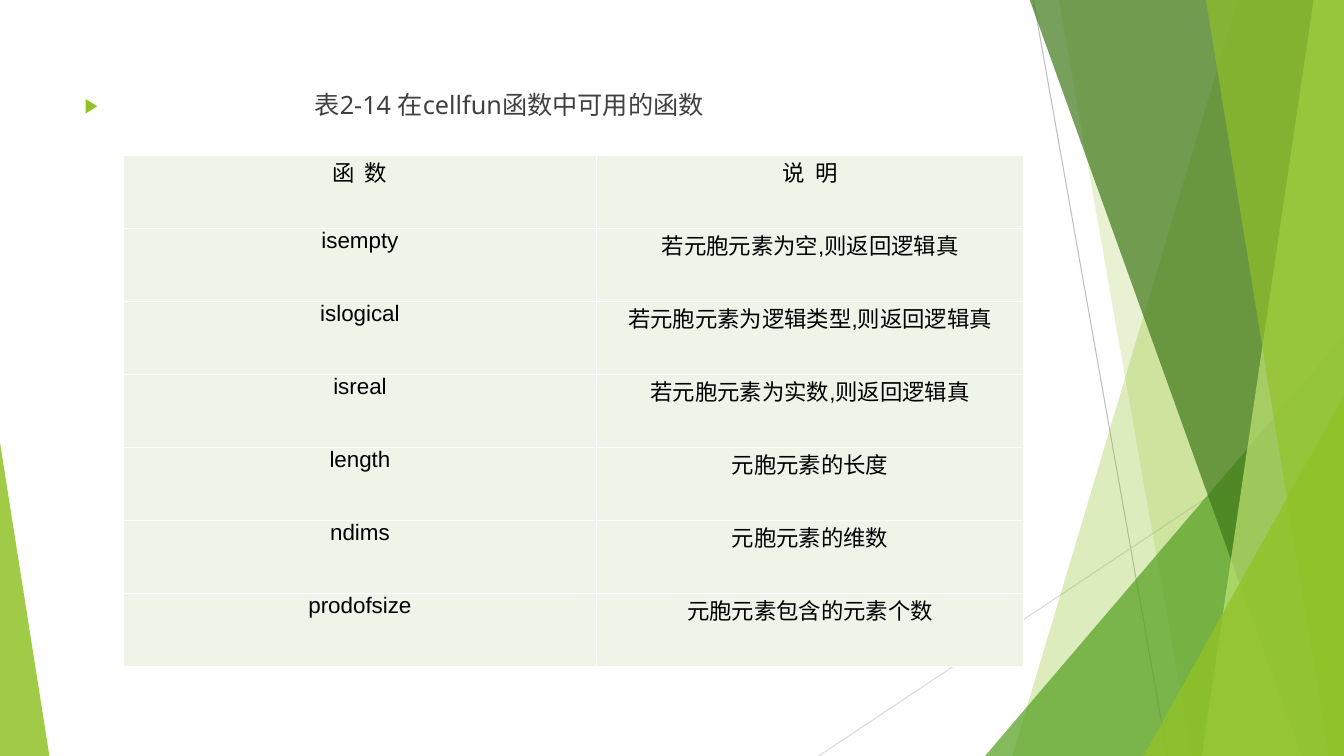
import pptx
import pptx.util
import pptx.dml.color
import pptx.enum.shapes
import pptx.enum.text
import pptx.oxml
import pptx.oxml.ns
import lxml.etree

Inches, Pt = pptx.util.Inches, pptx.util.Pt
RGB = pptx.dml.color.RGBColor.from_string
qn = pptx.oxml.ns.qn
COLORS = {"lime": "90C226", "pale": "C0E474", "green": "54A021", "dark": "3F7819",
          "line": "BFBFBF", "faint": "D9D9D9", "caption": "404040",
          "black": "000000", "white": "FFFFFF", "cell": "EEF4E8"}


def write(frame, text, size, font, color, align=None, before=0, after=0):
    paragraph = frame.paragraphs[0]
    paragraph.alignment = align
    paragraph.space_before, paragraph.space_after = Pt(before), Pt(after)
    run = paragraph.add_run()
    run.text = text
    run.font.size, run.font.name = Pt(size), font
    run.font.color.rgb = RGB(COLORS[color])
    return paragraph


def paint(facet, color, opacity):
    facet.shadow.inherit = False
    facet.line.fill.background()
    facet.fill.solid()
    facet.fill.fore_color.rgb = RGB(COLORS[color])
    shade = facet.fill._xPr.find(".//" + qn("a:srgbClr"))
    lxml.etree.SubElement(shade, qn("a:alpha")).set("val", str(opacity * 1000))


deck = pptx.Presentation()
deck.slide_width, deck.slide_height = Inches(13.33), Inches(7.5)
slide = deck.slides.add_slide(deck.slide_layouts[1])
empty_title = slide.shapes.title._element
empty_title.getparent().remove(empty_title)

# Thin lines behind the facets
for x1, y1, x2, y2, color in [(10.25, 0, 11.58, 7.5, "line"), (13.33, 4.03, 8.12, 7.5, "faint")]:
    ray = slide.shapes.add_connector(pptx.enum.shapes.MSO_CONNECTOR.STRAIGHT,
                                     Inches(x1), Inches(y1), Inches(x2), Inches(y2))
    ray.line.color.rgb = RGB(COLORS[color])
    ray.line.width = Pt(0.75)
    lxml.etree.SubElement(ray._element.spPr, qn("a:effectLst"))

# Facets, back to front: bands give top-left and bottom-left x and run to the
# right edge; wedges give left, top, width and apex, and stand on the bottom edge
facets = [("band", (12.28, 10.04), "lime", 30),
          ("band", (10.5, 11.82), "lime", 20),
          ("wedge", (9.77, 3.33, 3.56, 1), "green", 72),
          ("band", (10.21, 12.91), "dark", 70),
          ("band", (13.03, 11.92), "pale", 70),
          ("band", (11.96, 13.18), "lime", 65),
          ("wedge", (11.34, 3.93, 1.99, 1), "lime", 80),
          ("wedge", (0, 4.39, 0.49, 0), "lime", 85)]
for kind, place, color, opacity in facets:
    if kind == "band":
        top_x, bottom_x = place
        outline = slide.shapes.build_freeform(Inches(top_x), Inches(-0.01))
        outline.add_line_segments([(Inches(13.33), Inches(-0.01)), (Inches(13.33), Inches(7.5)),
                                   (Inches(bottom_x), Inches(7.5))], close=True)
        facet = outline.convert_to_shape()
    else:
        left, top, width, apex = place
        facet = slide.shapes.add_shape(pptx.enum.shapes.MSO_SHAPE.ISOSCELES_TRIANGLE, Inches(left),
                                       Inches(top), Inches(width), Inches(7.5 - top))
        facet.adjustments[0] = apex
    paint(facet, color, opacity)

# Caption, indented well away from its bullet
caption = slide.placeholders[1]
caption.left, caption.top, caption.width, caption.height = map(Inches, (0.74, 0.84, 9.4, 5.77))
slide.shapes._spTree.append(caption._element)
caption.text_frame.auto_size = pptx.enum.text.MSO_AUTO_SIZE.NONE
caption_line = write(caption.text_frame, "表2-14 在cellfun函数中可用的函数", 18, "Noto Sans",
                     "caption", before=10)
caption_format = caption_line._p.get_or_add_pPr()
caption_format.set("marL", str(Inches(2.28)))
caption_format.set("indent", str(Inches(-2.28)))
bullet_color = lxml.etree.SubElement(caption_format, qn("a:buClr"))
lxml.etree.SubElement(bullet_color, qn("a:srgbClr")).set("val", COLORS["lime"])
lxml.etree.SubElement(caption_format, qn("a:buSzPct")).set("val", "80000")
lxml.etree.SubElement(caption_format, qn("a:buFont")).set("typeface", "Noto Sans")
lxml.etree.SubElement(caption_format, qn("a:buChar")).set("char", "▶")

# Table of functions
functions = [("函  数", "说  明"),
             ("isempty", "若元胞元素为空,则返回逻辑真".replace(",", ",")),
             ("islogical", "若元胞元素为逻辑类型,则返回逻辑真".replace(",", ",")),
             ("isreal", "若元胞元素为实数,则返回逻辑真".replace(",", ",")),
             ("length", "元胞元素的长度"),
             ("ndims", "元胞元素的维数"),
             ("prodofsize", "元胞元素包含的元素个数")]
table = slide.shapes.add_table(len(functions), 2, Inches(1.22), Inches(1.54),
                               Inches(8.92), Inches(5.07)).table
table.first_row = table.horz_banding = False
table.columns[0].width, table.columns[1].width = Inches(4.7), Inches(4.23)
for r, row in enumerate(functions):
    for c, text in enumerate(row):
        cell = table.cell(r, c)
        cell.margin_left = cell.margin_right = Inches(0.07)
        cell.margin_top = cell.margin_bottom = 0
        write(cell.text_frame, text, 16, "Arial", "black",
              align=pptx.enum.text.PP_ALIGN.CENTER, after=2)
        borders = cell._tc.get_or_add_tcPr()
        for side in ("a:lnL", "a:lnR", "a:lnT", "a:lnB"):
            border = lxml.etree.SubElement(borders, qn(side), w=str(Pt(1)))
            border_fill = lxml.etree.SubElement(border, qn("a:solidFill"))
            lxml.etree.SubElement(border_fill, qn("a:srgbClr")).set("val", COLORS["white"])
        cell.fill.solid()
        cell.fill.fore_color.rgb = RGB(COLORS["cell"])

deck.save("out.pptx")
